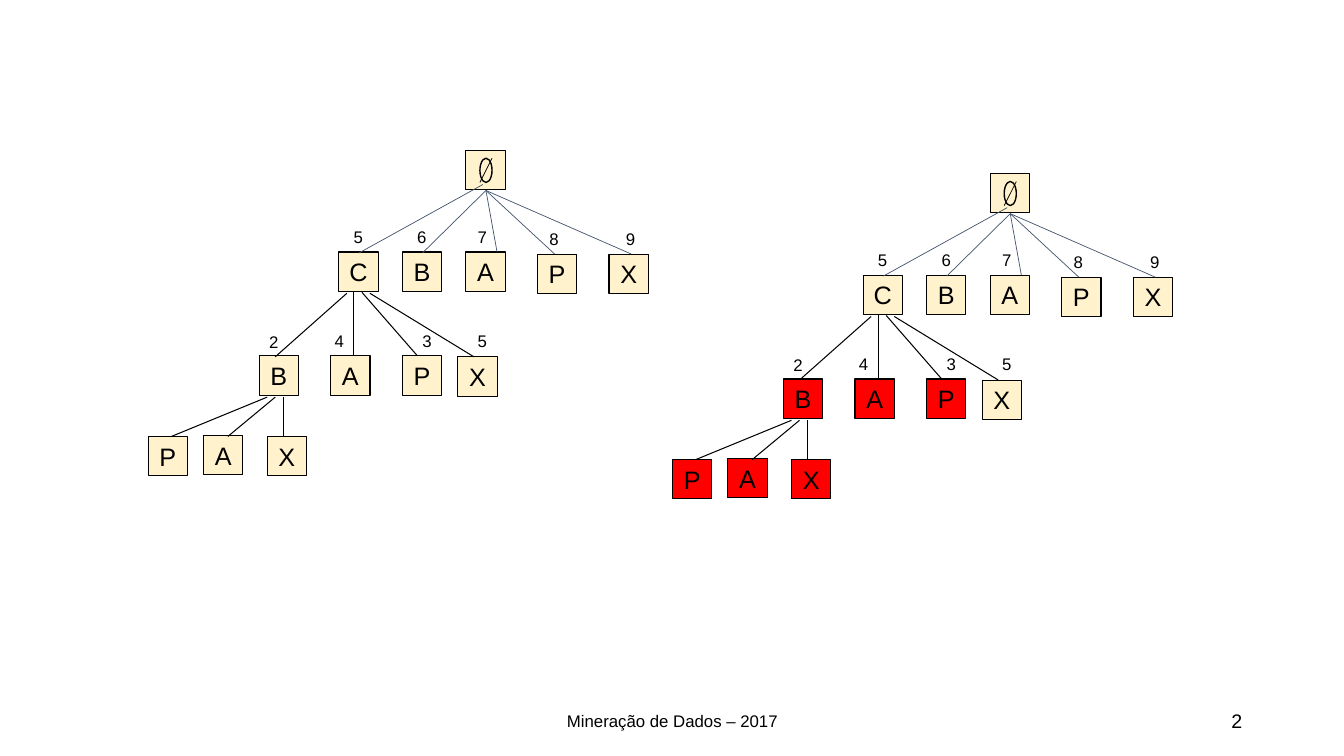
from dataclasses import dataclass

from lxml import etree
from pptx import Presentation, util as u
from pptx.dml.color import RGBColor
from pptx.enum import shapes, text
from pptx.oxml.ns import qn

PX = 9144  # EMU per px, 100 px to the inch


@dataclass(frozen=True)
class Theme:
    font: str = "Arial"
    ink: str = "000000"
    branch: str = "44546A"
    cream: str = "FFF2CC"
    red: str = "FF0000"
    node_size: int = 18
    number_size: int = 14
    small_size: int = 12


T = Theme()
NODE = 39
LABEL = 30

# Each level: line colour, line width, then its nodes as
# (letter, node x and y, support, support x and y, edge start, edge end)
LEVELS = [
    (T.branch, 0.5, [
        ("C", 189, 101, "5", 194, 71, (332, 34), (209, 102)),
        ("B", 252, 101, "6", 257, 71, (335, 40), (272, 102)),
        ("A", 315, 101, "7", 317, 71, (335, 40), (346, 101)),
        ("P", 386, 103, "8", 388, 73, (335, 40), (403, 103)),
        ("X", 457, 103, "9", 464, 73, (335, 40), (479, 103)),
    ]),
    (T.ink, 0.75, [
        ("B", 110, 204, "2", 110, 175, (197, 142), (126, 205)),
        ("A", 181, 204, "4", 175, 174, (204, 141), (204, 204)),
        ("P", 252, 204, "3", 262, 174, (212, 141), (267, 204)),
        ("X", 307, 205, "5", 317, 174, (220, 142), (323, 205)),
    ]),
    (T.ink, 0.75, [
        ("P", 0, 284, "", 0, 0, (118, 245), (23, 284)),
        ("A", 55, 283, "", 0, 0, (126, 245), (79, 284)),
        ("X", 118, 284, "", 0, 0, (134, 245), (134, 284)),
    ]),
]
# Pruned nodes as (level, letter)
PRUNED = {(1, "B"), (1, "A"), (1, "P"), (2, "P"), (2, "A"), (2, "X")}


def rgb(value):
    return RGBColor.from_string(value)


def px(*lengths):
    return [u.Emu(n * PX) for n in lengths]


def write(sp, words, size, align):
    p = sp.text_frame.paragraphs[0]
    p.alignment = align
    r = p.add_run()
    r.text = words
    r.font.name = T.font
    r.font.size = u.Pt(size)
    r.font.color.rgb = rgb(T.ink)


def add_outline(s, kind, x, y, w, h, fill=T.cream, width=0.75):
    sp = s.shapes.add_shape(kind, *px(x, y, w, h))
    sp.shadow.inherit = False
    sp.fill.solid()
    sp.fill.fore_color.rgb = rgb(fill)
    sp.line.color.rgb = rgb(T.ink)
    sp.line.width = u.Pt(width)
    return sp


def add_node(s, x, y, letter, fill):
    sp = add_outline(s, shapes.MSO_SHAPE.RECTANGLE, x, y, NODE, NODE, fill)
    tf = sp.text_frame
    tf.word_wrap = False
    tf.vertical_anchor = text.MSO_ANCHOR.MIDDLE
    write(sp, letter, T.node_size, text.PP_ALIGN.CENTER)


def add_line(s, x1, y1, x2, y2, color, width):
    cx = s.shapes.add_connector(shapes.MSO_CONNECTOR.STRAIGHT, *px(x1, y1, x2, y2))
    cx.line.color.rgb = rgb(color)
    cx.line.width = u.Pt(width)
    etree.SubElement(cx._element.spPr, qn("a:effectLst"))


def add_support(s, x, y, count):
    sp = s.shapes.add_textbox(*px(x, y, LABEL, LABEL))
    tf = sp.text_frame
    tf.word_wrap = False
    tf.auto_size = text.MSO_AUTO_SIZE.SHAPE_TO_FIT_TEXT
    write(sp, count, T.small_size, text.PP_ALIGN.LEFT)


def add_root(s, x, y):
    """Square with the empty-set sign: an oval and a slash."""
    add_outline(s, shapes.MSO_SHAPE.RECTANGLE, x, y, NODE, NODE)
    add_outline(s, shapes.MSO_SHAPE.FLOWCHART_CONNECTOR, x + 14, y + 8, 12, 24, width=1)
    add_line(s, x + 14, y + 32, x + 26, y + 8, T.ink, 0.5)


def add_tree(s, left, top, pruned=frozenset()):
    add_root(s, left + 315, top)
    for depth, (color, width, nodes) in enumerate(LEVELS):
        # Nodes first, so that the edges lie over them
        for letter, x, y, *_ in nodes:
            fill = T.red if (depth, letter) in pruned else T.cream
            add_node(s, left + x, top + y, letter, fill)
        # Edges and supports
        for _, _, _, count, x, y, (x1, y1), (x2, y2) in nodes:
            add_line(s, left + x1, top + y1, left + x2, top + y2, color, width)
            if count:
                add_support(s, left + x, top + y, count)


def add_footer(s, top, height):
    for x, w, words, size, align in [
        (442, 450, "Mineração de Dados – 2017", T.small_size, text.PP_ALIGN.CENTER),
        (942, 300, "2", T.number_size, text.PP_ALIGN.RIGHT),
    ]:
        sp = s.shapes.add_textbox(*px(x, top, w, height))
        sp.text_frame.word_wrap = True
        sp.text_frame.vertical_anchor = text.MSO_ANCHOR.MIDDLE
        write(sp, words, size, align)


def main():
    prs = Presentation()
    prs.slide_width, prs.slide_height = px(1333, 750)
    s = prs.slides.add_slide(prs.slide_layouts[6])
    add_tree(s, 147, 149)
    add_tree(s, 667, 172, PRUNED)
    add_footer(s, 695, 40)
    prs.save("out.pptx")


if __name__ == "__main__":
    main()
